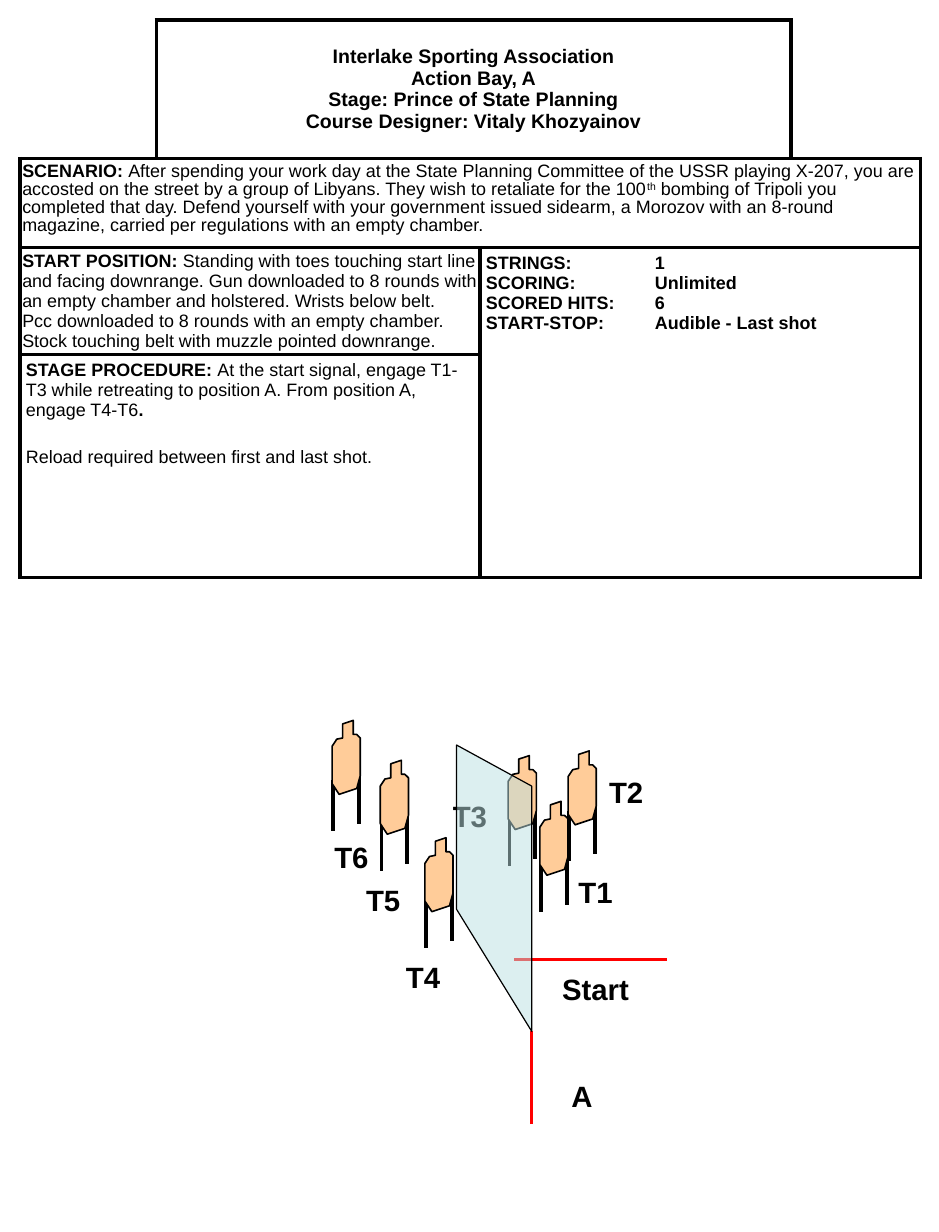
from lxml import etree
from pptx import Presentation
from pptx.dml.color import RGBColor
from pptx.enum.shapes import MSO_CONNECTOR
from pptx.enum.text import MSO_ANCHOR, PP_ALIGN
from pptx.oxml.ns import qn
from pptx.util import Inches, Pt

LINE = MSO_CONNECTOR.STRAIGHT
MID, TOP = MSO_ANCHOR.MIDDLE, MSO_ANCHOR.TOP
MIDDLE, LEFT = PP_ALIGN.CENTER, PP_ALIGN.LEFT

# Grid of 80 columns by 105 rows, each a tenth of an inch
COLS, ROWS = 80, 105
UNIT = Inches(0.1)
BLACK, WHITE, RED, TAN, GLASS = "000000", "FFFFFF", "FF0000", "FFCC99", "BBE0E3"

TITLE = ["Interlake Sporting Association", "Action Bay, A",
         "Stage: Prince of State Planning", "Course Designer: Vitaly Khozyainov"]
FACTS = [("STRINGS:", "1"), ("SCORING:", "Unlimited"),
         ("SCORED HITS:", "6"), ("START-STOP:", "Audible - Last shot")]

# Target outline and legs, in grid units from its top left corner
BODY = [(0.9, 0.3), (1.8, 0), (1.8, 1.2), (2.1, 1.2), (2.4, 1.5), (2.4, 4.7),
        (2.1, 5.8), (0.6, 6.3), (0, 5.4), (0, 2.2), (0.4, 1.6), (0.9, 1.5)]
LEGS = [(0.1, 5.1), (2.3, 4.5)]
LEG = 4.3
TARGETS = [(43.3, 64.4), (46, 68.3), (48.4, 64), (36.2, 71.4), (32.4, 64.8), (28.3, 61.4)]
LABELS = [("A", 47.7, 91.4), ("T1", 48.3, 74), ("T2", 50.9, 65.5), ("T3", 37.6, 67.5),
          ("T4", 33.6, 81.3), ("T5", 30.2, 74.7), ("T6", 27.5, 71)]
PANEL = [(38.9, 77.5), (45.3, 87.9), (45.3, 67), (38.9, 63.5)]


def grid(n):
    return round(n * UNIT)


def color(code):
    return RGBColor.from_string(code)


def style(run, size, bold):
    font = run.font
    font.name, font.size, font.bold = "Arial", Pt(size), bold
    font.color.rgb = color(BLACK)


def border(cell, sides):
    props = cell._tc.get_or_add_tcPr()
    for spot, side in enumerate(sides):
        edge = etree.Element(qn(f"a:ln{side}"), w=str(Pt(2.25)))
        fill = etree.SubElement(edge, qn("a:solidFill"))
        etree.SubElement(fill, qn("a:srgbClr"), val=BLACK)
        props.insert(spot, edge)


def write(cell, paras, size=11, pad=0.5, side=None, align=LEFT, anchor=TOP):
    """Fill a cell; each paragraph is a list of (text, bold) runs."""
    side = pad if side is None else side
    cell.margin_left = cell.margin_right = grid(side)
    cell.margin_top = cell.margin_bottom = grid(pad)
    cell.vertical_anchor = anchor
    frame = cell.text_frame
    for i, runs in enumerate(paras):
        para = frame.add_paragraph() if i else frame.paragraphs[0]
        para.alignment = align
        for text, bold in runs:
            run = para.add_run()
            run.text = text
            style(run, size, bold)
    return frame.paragraphs


def brief(slide, x, y, wide, high):
    """Stage description table."""
    frame = slide.shapes.add_table(4, 4, grid(x), grid(y), grid(wide), grid(high))
    table = frame.table
    table.first_row = table.horz_banding = False
    for col, width in zip(table.columns, (11.6, 27.6, 26.5, 11)):
        col.width = grid(width)
    for row, height in zip(table.rows, (11.8, 7.6, 9.1, 19)):
        row.height = grid(height)
    for r in range(4):
        for c in range(4):
            cell = table.cell(r, c)
            cell.fill.solid()
            cell.fill.fore_color.rgb = color(WHITE)
            border(cell, {(0, 0): "RB", (0, 3): "LB"}.get((r, c), "LRTB"))
    for first, last in (((0, 1), (0, 2)), ((1, 0), (1, 3)), ((2, 0), (2, 1)),
                        ((2, 2), (3, 3)), ((3, 0), (3, 1))):
        table.cell(*first).merge(table.cell(*last))

    # Title
    write(table.cell(0, 1), [[(line, True)] for line in TITLE], 12, align=MIDDLE, anchor=MID)

    # Scenario
    story = write(table.cell(1, 0), [[
        ("SCENARIO: ", True),
        ("After spending your work day at the State Planning Committee of the USSR "
         "playing X-207, you are accosted on the street by a group of Libyans. They wish "
         "to retaliate for the 100", False),
        ("th", False),
        (" bombing of Tripoli you completed that day. Defend yourself with your government "
         "issued sidearm, a Morozov with an 8-round magazine, carried per regulations with "
         "an empty chamber.", False)]], pad=0.4, side=0.2)[0]
    story.line_spacing = 0.9
    story.runs[2]._r.get_or_add_rPr().set("baseline", "30000")

    # Start position
    write(table.cell(2, 0), [
        [("START POSITION: ", True),
         ("Standing with toes touching start line and facing downrange. Gun downloaded to "
          "8 rounds with an empty chamber and holstered. Wrists below belt.", False)],
        [("Pcc downloaded to 8 rounds with an empty chamber. Stock touching belt with "
          "muzzle pointed downrange.", False)]], pad=0.3, side=0.2)

    # Scoring facts, with values on a tab stop
    for para in write(table.cell(2, 2), [[(f"{k}\t{v}", True)] for k, v in FACTS]):
        tabs = etree.SubElement(para._p.get_or_add_pPr(), qn("a:tabLst"))
        etree.SubElement(tabs, qn("a:tab"), pos=str(grid(14.4)), algn="l")

    # Procedure
    steps = write(table.cell(3, 0), [
        [("STAGE PROCEDURE: ", True),
         ("At the start signal, engage T1-T3 while retreating to position A. From "
          "position A, engage T4-T6", False), (".", True)],
        [("Reload required between first and last shot.", False)]])
    steps[1].space_before = Pt(16.5)


def stroke(shapes, start, end, code, width):
    line = shapes.add_connector(LINE, *map(grid, start + end))
    line.line.color.rgb = color(code)
    line.line.width = Pt(width)
    etree.SubElement(line._element.spPr, qn("a:effectLst"))


def outline(shapes, points, code, width):
    pts = [(grid(x), grid(y)) for x, y in points]
    pen = shapes.build_freeform(*pts[0])
    pen.add_line_segments(pts[1:], close=True)
    shape = pen.convert_to_shape()
    shape.shadow.inherit = False
    shape.fill.solid()
    shape.fill.fore_color.rgb = color(code)
    shape.line.color.rgb = color(BLACK)
    shape.line.width = Pt(width)
    return shape


def label(slide, text, x, y, wide=5.8):
    box = slide.shapes.add_textbox(grid(x), grid(y), grid(wide), grid(4))
    frame = box.text_frame
    frame.word_wrap = True
    frame.text = text
    style(frame.paragraphs[0].runs[0], 18, True)


def target(slide, x, y):
    """Target on two legs."""
    parts = slide.shapes.add_group_shape().shapes
    for dx, dy in LEGS:
        stroke(parts, (x + dx, y + dy), (x + dx, y + dy + LEG), BLACK, 2.25)
    outline(parts, [(x + dx, y + dy) for dx, dy in BODY], TAN, 1)


def layout(slide):
    """Shooting bay diagram."""
    stroke(slide.shapes, (56.8, 81.8), (43.8, 81.8), RED, 2)
    for item in LABELS:
        label(slide, *item)
    for spot in TARGETS:
        target(slide, *spot)
    label(slide, "Start", 46.9, 82.3, 8.6)
    stroke(slide.shapes, (45.3, 95.8), (45.3, 87.9), RED, 2)
    # See-through wall
    wall = outline(slide.shapes, PANEL, GLASS, 0.75)
    tint = wall._element.spPr.find(qn("a:solidFill"))[0]
    etree.SubElement(tint, qn("a:alpha"), val="50000")


def main():
    deck = Presentation()
    deck.slide_width, deck.slide_height = grid(COLS), grid(ROWS)
    slide = deck.slides.add_slide(deck.slide_layouts[6])
    brief(slide, 1.7, 1.7, 76.7, 47.5)
    layout(slide)
    deck.save("out.pptx")


if __name__ == "__main__":
    main()
